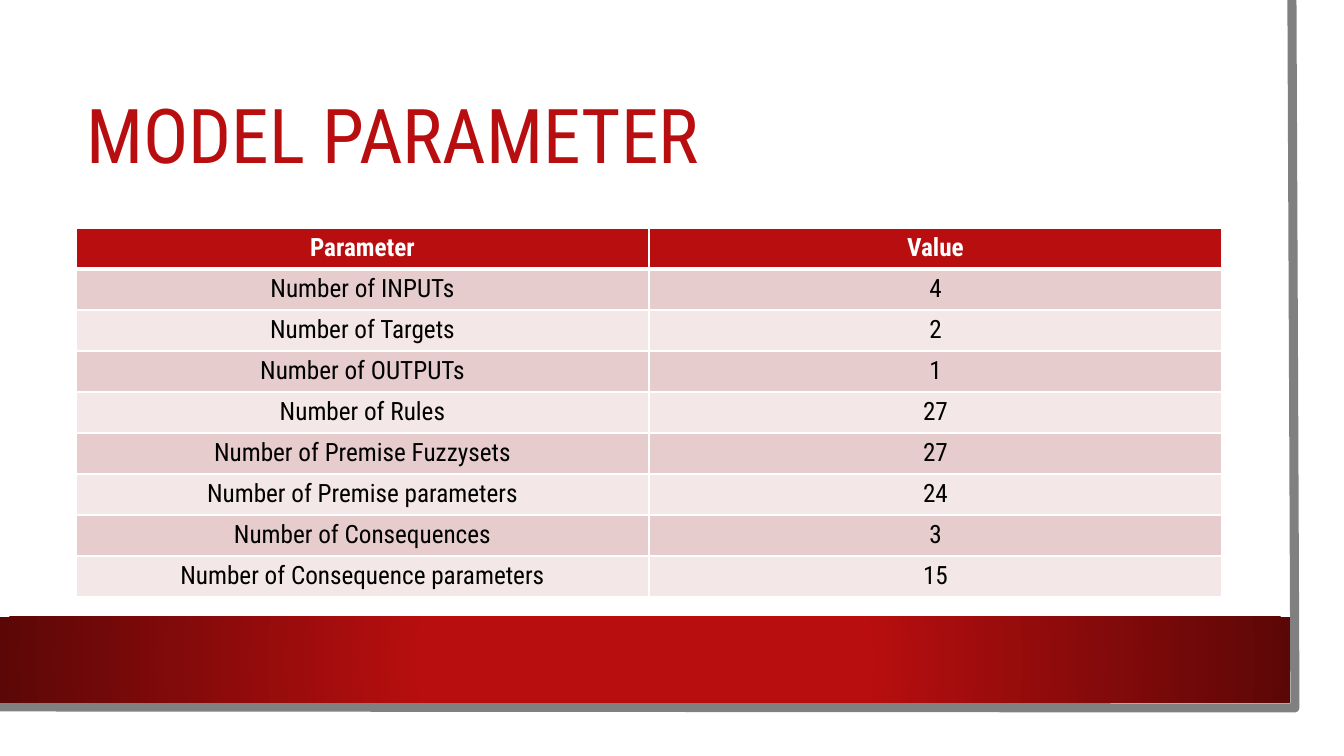
from lxml.etree import SubElement
from pptx import Presentation
from pptx.dml.color import RGBColor
from pptx.enum.shapes import MSO_SHAPE
from pptx.enum.text import MSO_ANCHOR, PP_ALIGN
from pptx.oxml import parse_xml
from pptx.oxml.ns import qn
from pptx.util import Pt

PX = 914400 / 100.8
FONT = "Roboto Condensed"
RED = RGBColor(0xB8, 0x0E, 0x0F)
DARK_RED = RGBColor(0x5C, 0x07, 0x07)
GRAY = RGBColor(0x80, 0x80, 0x80)
WHITE = RGBColor(0xFF, 0xFF, 0xFF)
BLACK = RGBColor(0x00, 0x00, 0x00)
ROSE = RGBColor(0xE6, 0xCC, 0xCC)
PALE_ROSE = RGBColor(0xF3, 0xE7, 0xE7)

ROWS = [
    ("Parameter", "Value"),
    ("Number of INPUTs", "4"),
    ("Number of Targets", "2"),
    ("Number of OUTPUTs", "1"),
    ("Number of Rules", "27"),
    ("Number of Premise Fuzzysets", "27"),
    ("Number of Premise parameters", "24"),
    ("Number of Consequences", "3"),
    ("Number of Consequence parameters", "15"),
]


def px(*lengths):
    return [round(length * PX) for length in lengths]


def add_border(cell, side, points):
    line = SubElement(cell._tc.get_or_add_tcPr(), qn(f"a:ln{side}"), w=str(Pt(points)))
    fill = SubElement(line, qn("a:solidFill"))
    SubElement(fill, qn("a:srgbClr"), val=str(WHITE))


deck = Presentation()
deck.slide_width, deck.slide_height = px(1344, 756)
page = deck.slides.add_slide(deck.slide_layouts[5])

# White sheet
sheet = page.shapes.add_shape(MSO_SHAPE.RECTANGLE, *px(0, 0, 1320, 733))
sheet.shadow.inherit = False
sheet.fill.solid()
sheet.fill.fore_color.rgb = WHITE
sheet.line.fill.background()

# Gray edge along the right and bottom
builder = page.shapes.build_freeform(1292, 0, scale=PX)
builder.add_line_segments([(1295, 708), (-3, 707)], close=False)
edge = builder.convert_to_shape()
edge.shadow.inherit = False
edge.fill.background()
edge.line.color.rgb = GRAY
edge.line.width = Pt(6.5)

# Red band, darker towards its ends
band = page.shapes.add_shape(MSO_SHAPE.RECTANGLE, *px(0, 617, 1290, 86))
band.shadow.inherit = False
band.line.fill.background()
gradient = parse_xml(
    '<a:gradFill xmlns:a="http://schemas.openxmlformats.org/drawingml/2006/main">'
    f'<a:gsLst><a:gs pos="34000"><a:srgbClr val="{RED}"/></a:gs>'
    f'<a:gs pos="100000"><a:srgbClr val="{DARK_RED}"/></a:gs></a:gsLst>'
    '<a:path path="circle"><a:fillToRect l="50000" t="50000" r="50000" b="50000"/></a:path>'
    "</a:gradFill>"
)
band.element.spPr.find(qn("a:prstGeom")).addnext(gradient)

# Title, brought in front of the sheet
title = page.shapes.title
title.element.getparent().append(title.element)
title.left, title.top, title.width, title.height = px(76, 76, 1146, 127)
title.text_frame.text = "MODEL PARAMETER"
title.text_frame.vertical_anchor = MSO_ANCHOR.MIDDLE
para = title.text_frame.paragraphs[0]
para.alignment = PP_ALIGN.LEFT
para.line_spacing = 0.9
span = para.runs[0]
span.font.name = FONT
span.font.size = Pt(54)
span.font.color.rgb = RED

# Parameter table
frame = page.shapes.add_table(len(ROWS), 2, *px(76, 228, 1146, 41 * len(ROWS)))
table = frame.table
for row, texts in enumerate(ROWS):
    header = row == 0
    for column, text in enumerate(texts):
        cell = table.cell(row, column)
        for side in "LRTB":
            thick = (row, side) in ((0, "B"), (1, "T"))
            add_border(cell, side, 3 if thick else 1)
        cell.fill.solid()
        cell.fill.fore_color.rgb = RED if header else ROSE if row % 2 else PALE_ROSE
        cell.text_frame.text = text
        para = cell.text_frame.paragraphs[0]
        para.alignment = PP_ALIGN.CENTER
        span = para.runs[0]
        span.font.name = FONT
        span.font.size = Pt(18)
        span.font.bold = header
        span.font.color.rgb = WHITE if header else BLACK

deck.save("out.pptx")
